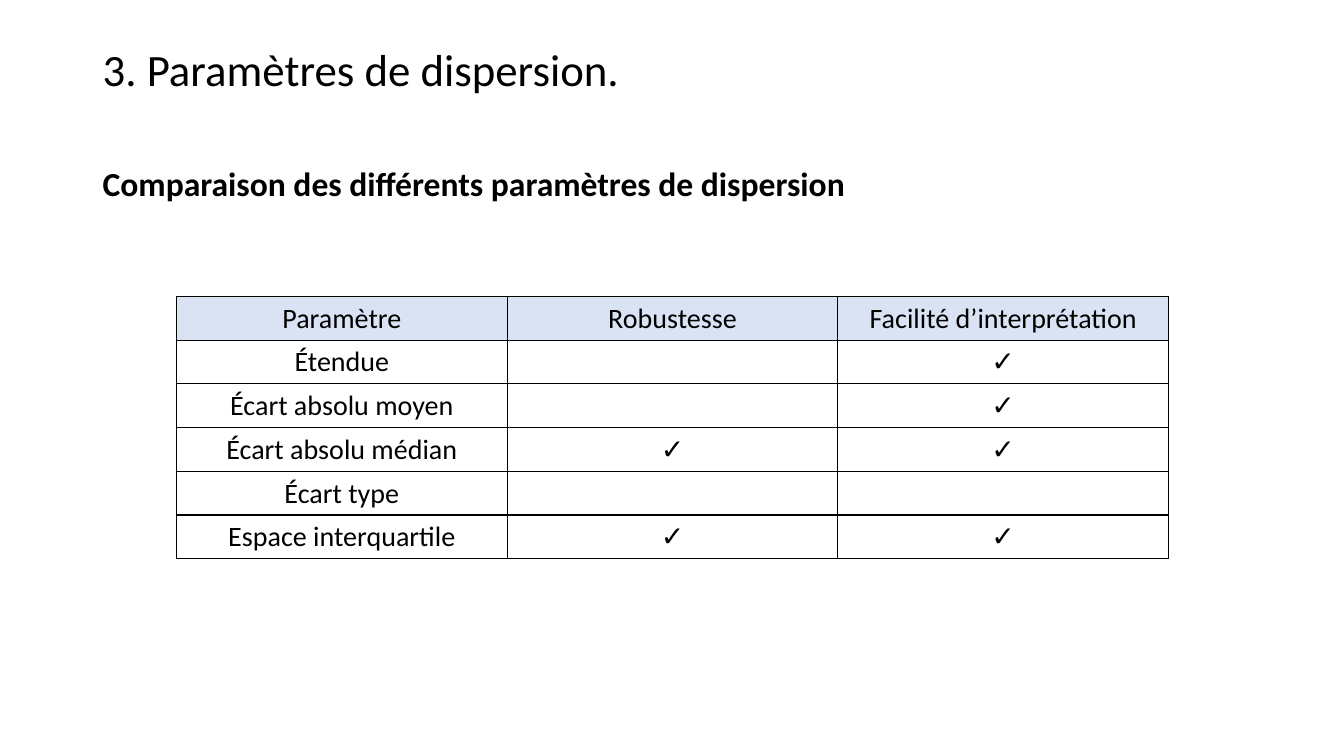
from lxml.etree import SubElement
from pptx import Presentation
from pptx.dml.color import RGBColor
from pptx.enum.text import MSO_ANCHOR as Anchor, PP_ALIGN as Align
from pptx.oxml.ns import qn
from pptx.util import Inches, Pt

COLORS = {"ink": "000000", "header": "DAE3F3"}
CHECK = "✓"
HEADINGS = ["Paramètre", "Robustesse", "Facilité d’interprétation"]
# Parameter, robust, easy to interpret
PARAMETERS = [
    ("Étendue", False, True),
    ("Écart absolu moyen", False, True),
    ("Écart absolu médian", True, True),
    ("Écart type", False, False),
    ("Espace interquartile", True, True),
]


class SlideBuilder:
    """Draws elements on one slide, placed on a grid of 100 columns and 100 rows."""

    font_name = "Calibri"

    def __init__(self, presentation):
        self.column = presentation.slide_width / 100
        self.row = presentation.slide_height / 100
        self.slide = presentation.slides.add_slide(presentation.slide_layouts[6])

    def place(self, left, top, width, height):
        return (round(left * self.column), round(top * self.row),
                round(width * self.column), round(height * self.row))

    def add_run(self, paragraph, text, size, bold=False):
        run = paragraph.add_run()
        run.text = text
        run.font.name = self.font_name
        run.font.size = Pt(size)
        run.font.bold = bold
        run.font.color.rgb = RGBColor.from_string(COLORS["ink"])

    def text(self, text, area, size, bold=False, line_spacing=1.0, anchor=Anchor.TOP):
        frame = self.slide.shapes.add_textbox(*self.place(*area)).text_frame
        frame.word_wrap = True
        frame.vertical_anchor = anchor
        paragraph = frame.paragraphs[0]
        paragraph.line_spacing = line_spacing
        self.add_run(paragraph, text, size, bold)

    def border(self, cell, width=1):
        properties = cell._tc.get_or_add_tcPr()
        for position, side in enumerate(("a:lnL", "a:lnR", "a:lnT", "a:lnB")):
            line = SubElement(properties, qn(side), w=str(Pt(width)))
            fill = SubElement(line, qn("a:solidFill"))
            SubElement(fill, qn("a:srgbClr"), val=COLORS["ink"])
            properties.remove(line)
            properties.insert(position, line)

    def table(self, rows, area, size):
        frame = self.slide.shapes.add_table(len(rows), len(rows[0]), *self.place(*area))
        table = frame.table
        table.horz_banding = False
        for row_index, values in enumerate(rows):
            for column_index, value in enumerate(values):
                cell = table.cell(row_index, column_index)
                if row_index == 0:
                    cell.fill.solid()
                    cell.fill.fore_color.rgb = RGBColor.from_string(COLORS["header"])
                else:
                    cell.fill.background()
                self.border(cell)
                paragraph = cell.text_frame.paragraphs[0]
                paragraph.alignment = Align.CENTER
                if value:
                    self.add_run(paragraph, value, size)


def main():
    presentation = Presentation()
    presentation.slide_width = Inches(13.33)
    presentation.slide_height = Inches(7.5)

    builder = SlideBuilder(presentation)
    builder.text("3. Paramètres de dispersion.", (6.9, 5.33, 86.27, 8.4), 32,
                 line_spacing=0.9, anchor=Anchor.MIDDLE)
    builder.text("Comparaison des différents paramètres de dispersion",
                 (6.9, 20.93, 86.35, 6.67), 24, bold=True)
    marks = [[name] + [CHECK if met else "" for met in criteria]
             for name, *criteria in PARAMETERS]
    builder.table([HEADINGS] + marks, (13.13, 39.2, 73.82, 34.67), 20)

    presentation.save("out.pptx")


if __name__ == "__main__":
    main()
